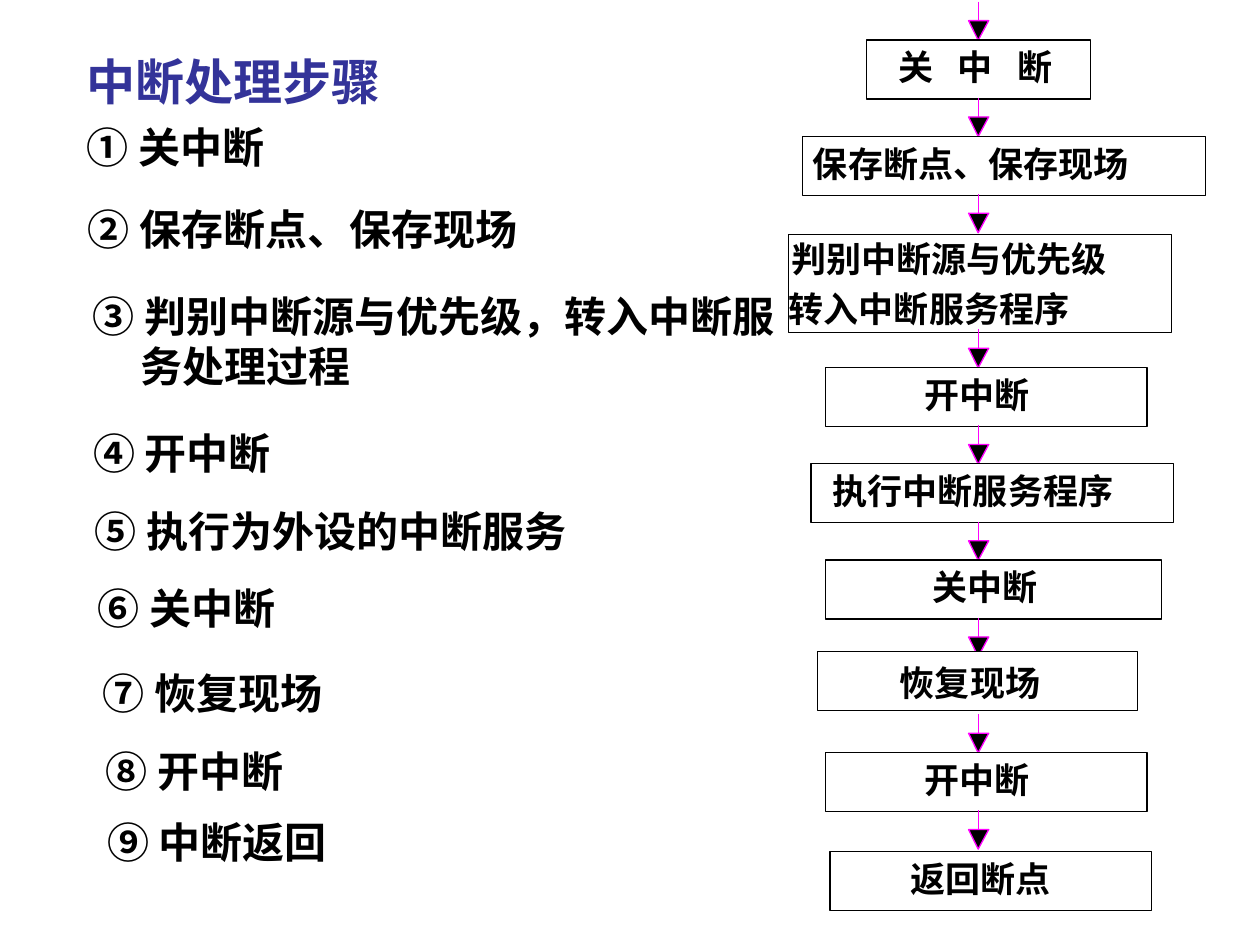
from typing import NamedTuple

from lxml.etree import SubElement
from pptx import Presentation
from pptx.dml.color import RGBColor
from pptx.enum.shapes import MSO_CONNECTOR as Connector, MSO_SHAPE as Preset
from pptx.enum.text import MSO_AUTO_SIZE as AutoSize
from pptx.oxml.ns import qn
from pptx.util import Pt

COLORS = {"title": "333399", "text": "000000", "box": "FFFFFF",
          "edge": "000000", "arrow": "FF00FF", "head": "000000"}
FONT = "Times New Roman"
LINE_WIDTH = 0.75
HANGING = 27
LABEL_SIZE = 20
LABEL_SLACK = 6  # spare width that keeps a label on one line

# Arrows share one axis and an even pitch; the two-line box adds a gap
AXIS = 559
FIRST_ARROW = 0.9
ARROW_PITCH = 55
TALL_BOX_INDEX = 2
TALL_BOX_GAP = 22.2
BOX_HEIGHT = 33.8


class Label(NamedTuple):
    text: str
    left: float
    top: float = 3.3  # below the top of its box


class Stage(NamedTuple):
    left: float
    top: float
    width: float
    labels: list[Label]
    height: float = BOX_HEIGHT


class Step(NamedTuple):
    text: str
    left: float
    top: float
    width: float
    height: float = 46


STAGES = [
    Stage(495.1, 22.9, 128.2,
          [Label("关", 513.4), Label("中", 547.4), Label("断", 581.2)]),
    Stage(458.5, 78, 230.5, [Label("保存断点、保存现场", 464.6)]),
    Stage(450.5, 134.1, 219, [Label("判别中断源与优先级", 452.2, 1.4),
                              Label("转入中断服务程序", 450.8, 30)], 55.8),
    Stage(471.7, 210, 183.8, [Label("开中断", 528.3)]),
    Stage(463.5, 264.9, 207.2, [Label("执行中断服务程序", 475.9)]),
    Stage(471.7, 320, 192.2, [Label("关中断", 532.8)]),
    Stage(467.3, 372.2, 182.9, [Label("恢复现场", 514.3, 5.7)]),
    Stage(471.7, 430, 183.8, [Label("开中断", 528.3)]),
    Stage(474.3, 486.6, 183.8, [Label("返回断点", 520.4)]),
]

STEPS = [
    Step("① 关中断", 42.5, 65.6, 195),
    Step("② 保存断点、保存现场", 43, 112.6, 331),
    Step("③ 判别中断源与优先级，转入中断服务处理过程", 46, 162.2, 404.6, 79),
    Step("④ 开中断", 46.3, 240.6, 404.6),
    Step("⑤ 执行为外设的中断服务", 46.9, 285.3, 404.6),
    Step("⑥ 关中断", 48.8, 329.2, 195),
    Step("⑦ 恢复现场", 51.7, 377.8, 331),
    Step("⑧ 开中断", 53.2, 422.2, 404.6),
    Step("⑨ 中断返回", 54.2, 462.8, 404.6),
]


def rgb(name: str) -> RGBColor:
    return RGBColor.from_string(COLORS[name])


def add_text(shapes, text: str, left: float, top: float, width: float,
             height: float, *, size: float = 24, color: str = "text",
             margins: tuple[float, float] = (7.2, 3.6),
             hanging: float = 0) -> None:
    box = shapes.add_textbox(Pt(left), Pt(top), Pt(width), Pt(height))
    frame = box.text_frame
    frame.word_wrap = True
    frame.auto_size = AutoSize.NONE
    frame.margin_left = frame.margin_right = Pt(margins[0])
    frame.margin_top = frame.margin_bottom = Pt(margins[1])
    para = frame.paragraphs[0]
    if hanging:
        properties = para._p.get_or_add_pPr()
        properties.set("marL", str(Pt(hanging)))
        properties.set("indent", str(-Pt(hanging)))
    span = para.add_run()
    span.text = text
    span.font.name = FONT
    span.font.size = Pt(size)
    span.font.bold = True
    span.font.color.rgb = rgb(color)


def paint(shape, fill: str, line: str) -> None:
    shape.shadow.inherit = False
    shape.fill.solid()
    shape.fill.fore_color.rgb = rgb(fill)
    shape.line.color.rgb = rgb(line)
    shape.line.width = Pt(LINE_WIDTH)


def add_arrow(shapes, top: float) -> None:
    # Shaft
    shaft = shapes.add_connector(Connector.STRAIGHT, Pt(AXIS), Pt(top),
                                 Pt(AXIS), Pt(top + 12.6))
    shaft.line.color.rgb = rgb("arrow")
    shaft.line.width = Pt(LINE_WIDTH)
    SubElement(shaft._element.spPr, qn("a:effectLst"))
    # Triangular head
    head_top = top + 10.9
    outline = shapes.build_freeform(Pt(AXIS - 5.5), Pt(head_top))
    outline.add_line_segments([(Pt(AXIS), Pt(head_top + 11.2)),
                               (Pt(AXIS + 6), Pt(head_top))], close=True)
    paint(outline.convert_to_shape(), "head", "arrow")


def add_stage(shapes, stage: Stage) -> None:
    box = shapes.add_shape(Preset.RECTANGLE, Pt(stage.left), Pt(stage.top),
                           Pt(stage.width), Pt(stage.height))
    paint(box, "box", "edge")
    for label in stage.labels:
        add_text(shapes, label.text, label.left, stage.top + label.top,
                 LABEL_SIZE * len(label.text) + LABEL_SLACK, 24,
                 size=LABEL_SIZE, margins=(0, 0))


def main() -> None:
    deck = Presentation()
    deck.slide_width, deck.slide_height = Pt(720), Pt(540)
    page = deck.slides.add_slide(deck.slide_layouts[6])

    # Flowchart
    flowchart = page.shapes.add_group_shape().shapes
    for index, stage in enumerate(STAGES):
        gap = TALL_BOX_GAP if index > TALL_BOX_INDEX else 0
        add_arrow(flowchart, FIRST_ARROW + index * ARROW_PITCH + gap)
        add_stage(flowchart, stage)

    # Title and numbered steps
    add_text(page.shapes, "中断处理步骤", 42.5, 26.2, 207.5, 45.4,
             size=28, color="title", hanging=HANGING)
    for step in STEPS:
        add_text(page.shapes, *step, hanging=HANGING)

    deck.save("out.pptx")


if __name__ == "__main__":
    main()
